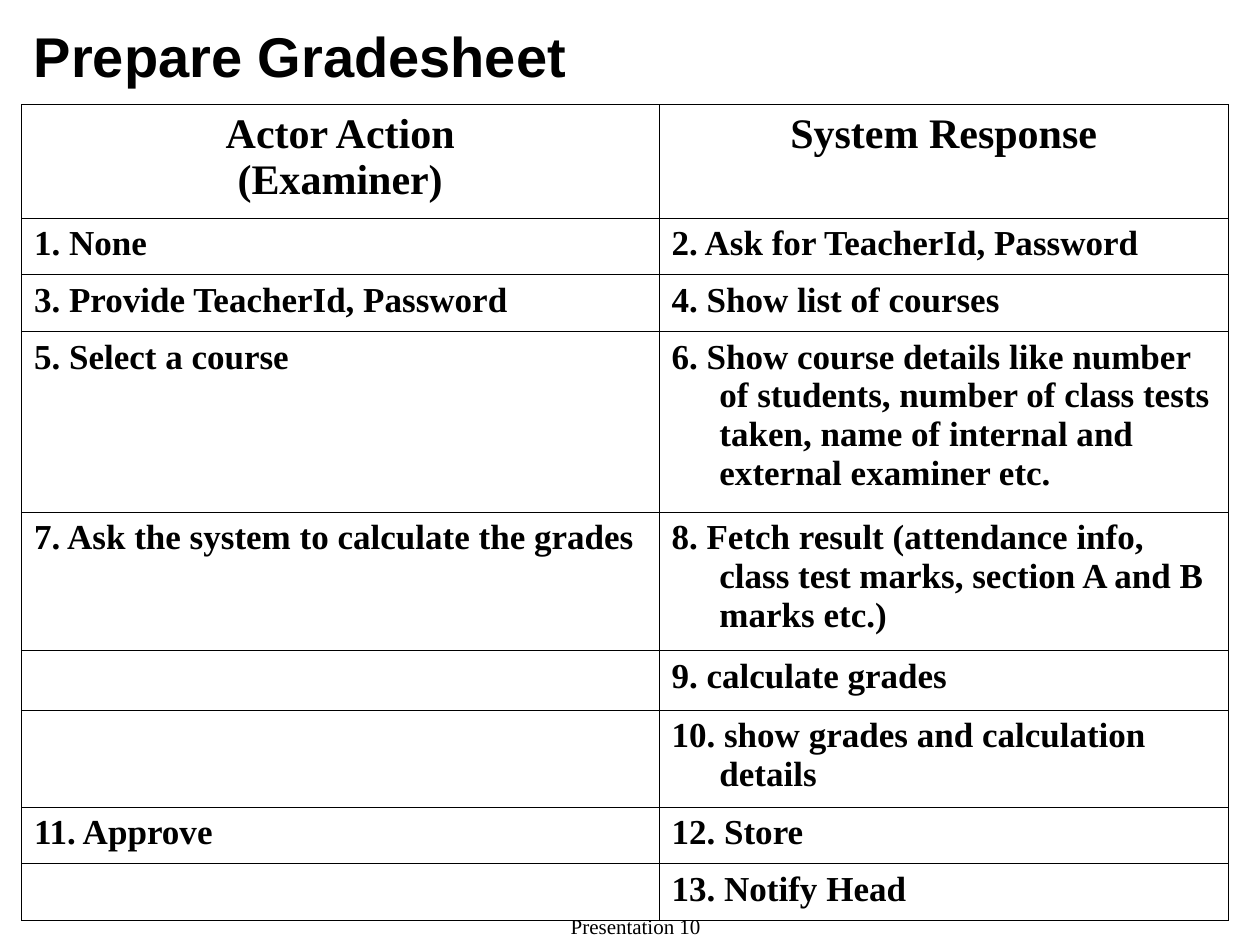
"""Build the Prepare Gradesheet slide with its actor and system table."""
import pptx
import pptx.dml.color
import pptx.enum.text
import pptx.oxml
import pptx.oxml.ns
import pptx.util

Inches = pptx.util.Inches
Pt = pptx.util.Pt
ALIGN = pptx.enum.text.PP_ALIGN
ANCHOR = pptx.enum.text.MSO_ANCHOR

COLUMN_WIDTHS = [5.06, 4.52]
STEPS = [
    (0.9, "Actor Action\n(Examiner)", "System Response"),
    (0.45, "1. None", "2. Ask for TeacherId, Password"),
    (0.45, "3. Provide TeacherId, Password", "4. Show list of courses"),
    (1.43, "5. Select a course",
     "6. Show course details like number of students, number of class tests "
     "taken, name of internal and external examiner etc."),
    (1.1, "7. Ask the system to calculate the grades",
     "8. Fetch result (attendance info, class test marks, section A and B marks etc.)"),
    (0.47, "", "9. calculate grades"),
    (0.77, "", "10. show grades and calculation details"),
    (0.45, "11. Approve", "12. Store"),
    (0.45, "", "13. Notify Head"),
]


def rgb(value):
    return pptx.dml.color.RGBColor.from_string(value)


class GradesheetSlide:
    def __init__(self, slide):
        self.slide = slide
        self.ink = "000000"
        self.border_width = 0.45
        self.hanging = 0.38

    def apply(self, target, values):
        for name, value in values.items():
            setattr(target, name, value)

    def fill_text(self, frame, text, font, align, hanging=0):
        frame.text = text
        for paragraph in frame.paragraphs:
            paragraph.alignment = align
            if hanging:
                properties = paragraph._p.get_or_add_pPr()
                properties.set("marL", str(Inches(hanging)))
                properties.set("indent", str(-Inches(hanging)))
            for run in paragraph.runs:
                self.apply(run.font, font)
                run.font.color.rgb = rgb(self.ink)

    def text(self, box, text, font, align, anchor):
        frame = self.slide.shapes.add_textbox(*map(Inches, box)).text_frame
        self.apply(frame, {"word_wrap": True, "vertical_anchor": anchor})
        self.fill_text(frame, text, font, align)

    def border(self, cell):
        properties = cell._tc.get_or_add_tcPr()
        for side in ("lnL", "lnR", "lnT", "lnB"):
            properties.append(pptx.oxml.parse_xml(
                f'<a:{side} {pptx.oxml.ns.nsdecls("a")} w="{Pt(self.border_width)}">'
                f'<a:solidFill><a:srgbClr val="{self.ink}"/></a:solidFill></a:{side}>'))

    def table(self, left, top, widths, steps):
        height = sum(step[0] for step in steps)
        box = map(Inches, (left, top, sum(widths), height))
        table = self.slide.shapes.add_table(len(steps), len(widths), *box).table
        self.apply(table, {"first_row": False, "horz_banding": False})
        for column, width in zip(table.columns, widths):
            column.width = Inches(width)
        for index, (row, (row_height, *texts)) in enumerate(zip(table.rows, steps)):
            row.height = Inches(row_height)
            size, align = (20, ALIGN.LEFT) if index else (24, ALIGN.CENTER)
            font = {"name": "Times New Roman", "size": Pt(size), "bold": True}
            for cell, text in zip(row.cells, texts):
                self.border(cell)
                cell.fill.background()
                if text:
                    self.fill_text(cell.text_frame, text, font, align, self.hanging)


def main():
    deck = pptx.Presentation()
    deck.slide_width, deck.slide_height = Inches(10), Inches(7.5)
    gradesheet = GradesheetSlide(deck.slides.add_slide(deck.slide_layouts[6]))
    gradesheet.text((3.42, 7.25, 3.25, 0.25), "Presentation 10",
                    {"name": "Times New Roman", "size": Pt(12)},
                    ALIGN.CENTER, ANCHOR.BOTTOM)
    gradesheet.text((0.17, 0.17, 9, 0.53), "Prepare Gradesheet",
                    {"name": "Arial", "size": Pt(32), "bold": True},
                    ALIGN.LEFT, ANCHOR.MIDDLE)
    gradesheet.table(0.17, 0.83, COLUMN_WIDTHS, STEPS)
    deck.save("out.pptx")


if __name__ == "__main__":
    main()
